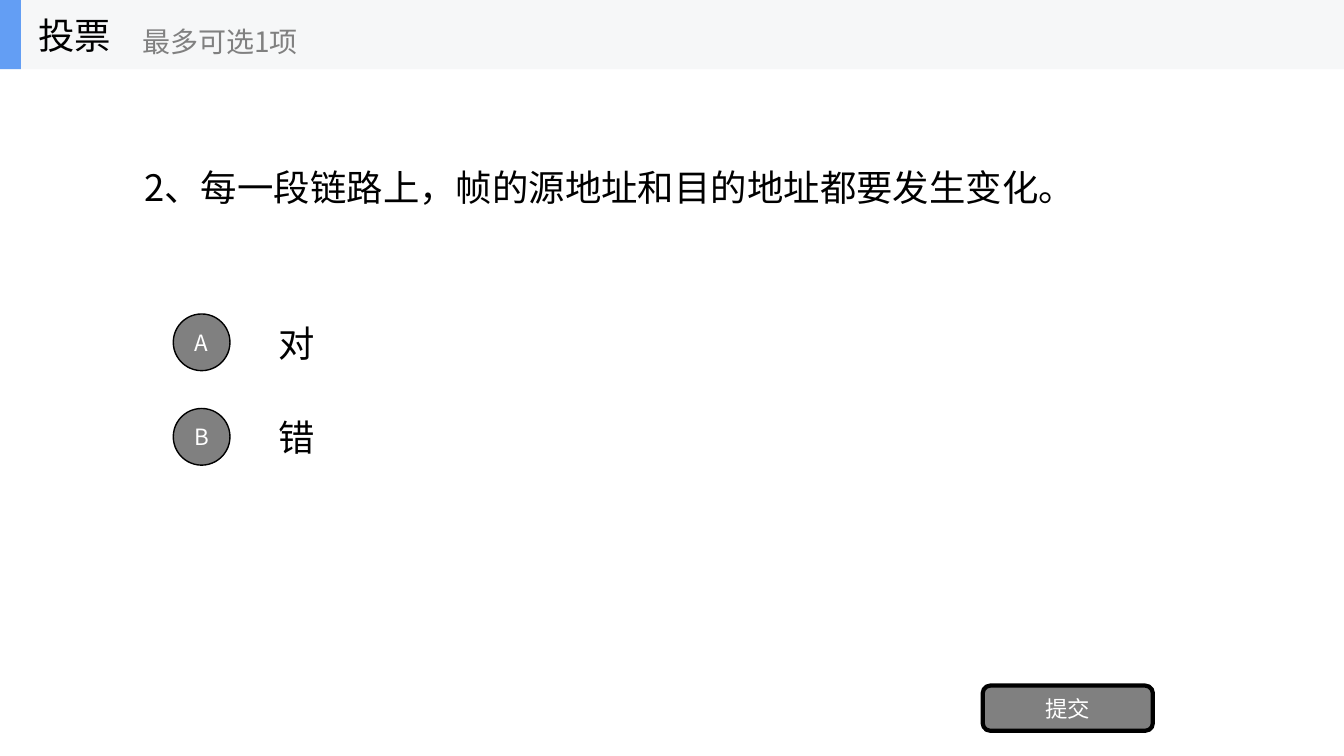
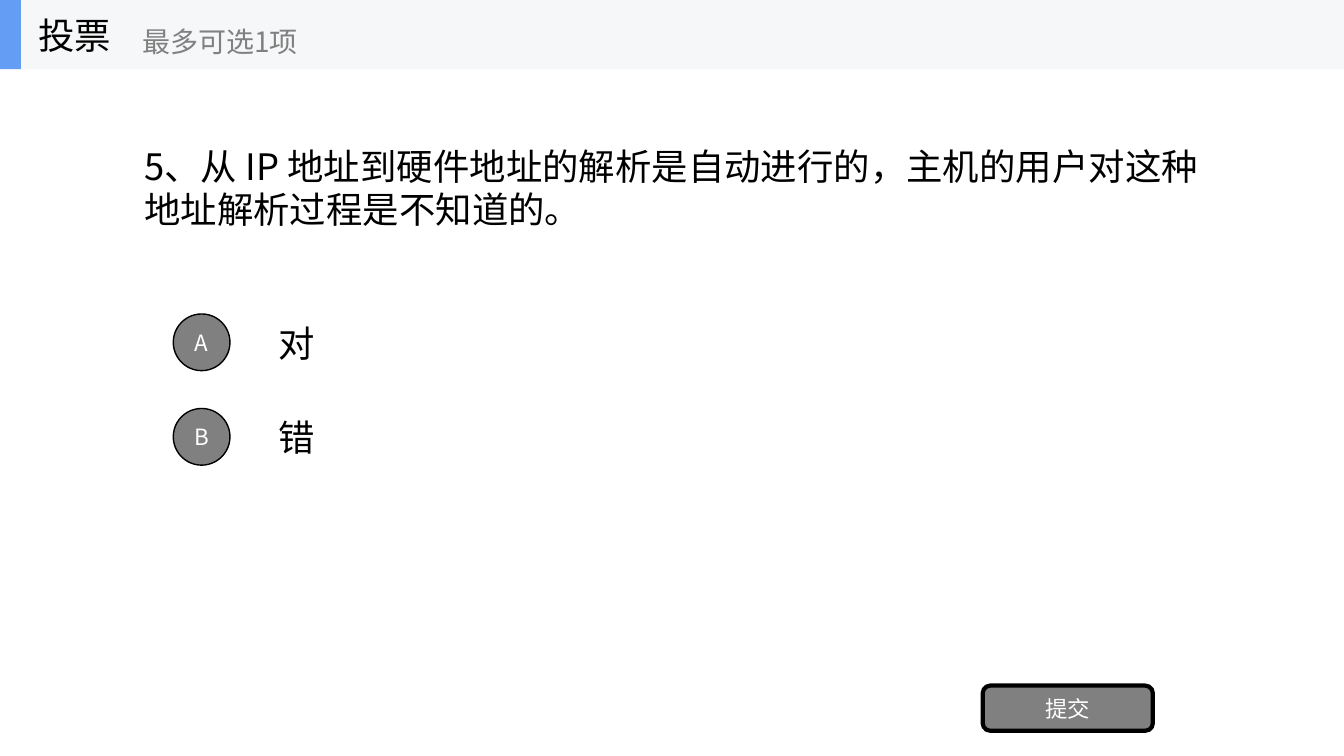
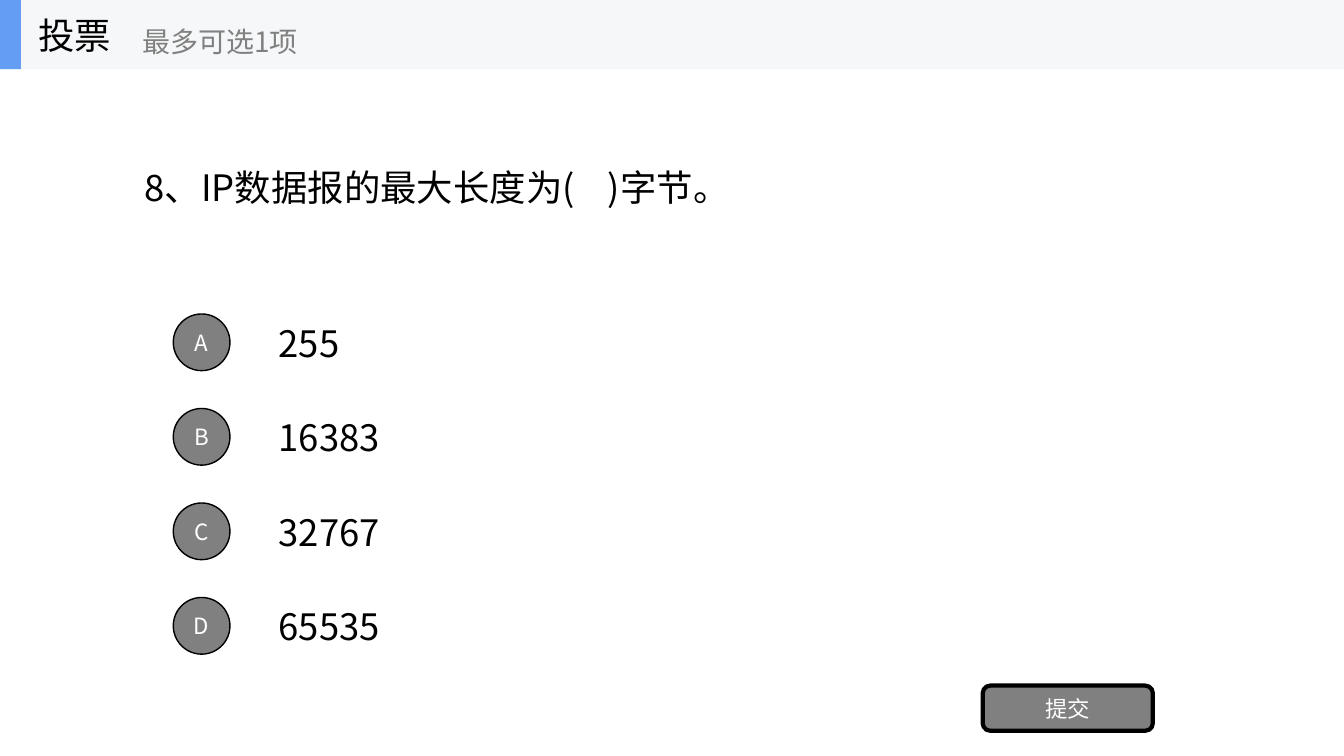
from pptx import Presentation
from pptx.dml.color import RGBColor
from pptx.enum.shapes import MSO_SHAPE as Preset
from pptx.enum.text import MSO_ANCHOR as Anchor, PP_ALIGN as Align
from pptx.oxml.ns import qn
from pptx.util import Pt
from lxml.etree import SubElement

PX = 9525  # EMU per px, 96 px to the inch
SLIDE_W, SLIDE_H = 1280, 720
HEADER_H = 66
FONT = "Noto Sans CJK SC"

BLACK = RGBColor(0x00, 0x00, 0x00)
WHITE = RGBColor(0xFF, 0xFF, 0xFF)
GRAY = RGBColor(0x80, 0x80, 0x80)
BAND = RGBColor(0xF6, 0xF7, 0xF8)
ACCENT = RGBColor(0x63, 0x9E, 0xF4)

POLLS = [
    ("2、每一段链路上，帧的源地址和目的地址都要发生变化。", ["对", "错"]),
    ("5、从 IP 地址到硬件地址的解析是自动进行的，主机的用户对这种地址解析过程是不知道的。",
     ["对", "错"]),
    ("8、IP数据报的最大长度为(    )字节。", ["255", "16383", "32767", "65535"]),
]


def emu(box):
    return [length * PX for length in box]


def write(frame, text, size, color, align=Align.LEFT):
    frame.text = text
    frame.word_wrap = True
    frame.vertical_anchor = Anchor.MIDDLE
    paragraph = frame.paragraphs[0]
    paragraph.alignment = align
    for run in paragraph.runs:
        run.font.size = Pt(size)
        run.font.color.rgb = color
        run.font.name = FONT
        SubElement(run.font._element, qn("a:ea"), typeface=FONT)


def add_text(shapes, box, text, size=26, color=BLACK):
    write(shapes.add_textbox(*emu(box)).text_frame, text, size, color)


def add_panel(shapes, preset, box, fill, border=0):
    """Add a filled shape; border is the outline width in points."""
    panel = shapes.add_shape(preset, *emu(box))
    panel.shadow.inherit = False
    panel.fill.solid()
    panel.fill.fore_color.rgb = fill
    if border:
        panel.line.color.rgb = BLACK
        panel.line.width = Pt(border)
    else:
        panel.line.fill.background()
    return panel


def add_button(shapes, preset, box, label, border):
    frame = add_panel(shapes, preset, box, GRAY, border).text_frame
    frame.margin_left = frame.margin_right = 0
    write(frame, label, 16, WHITE, Align.CENTER)


def add_options(shapes, box, options, pitch=90, row_h=67, badge=54, text_offset=91):
    """Stack one lettered row per option from the top of the box."""
    left, top, width = box
    for row, option in enumerate(options):
        add_text(shapes, (left + text_offset, top + row * pitch, width - text_offset, row_h),
                 option)
    badge_top = top + (row_h - badge) // 2
    for row, letter in enumerate("ABCD"[:len(options)]):
        add_button(shapes, Preset.OVAL, (left, badge_top + row * pitch, badge, badge),
                   letter, 1)


def add_header(shapes, box):
    left, top, width, height = box
    header = shapes.add_group_shape().shapes
    add_panel(header, Preset.RECTANGLE, box, BAND)
    add_panel(header, Preset.RECTANGLE, (left, top, 20, height), ACCENT)
    add_text(header, (left + 27, top, 200, height), "投票")
    add_text(header, (left + 126, top + 12, 240, height - 12), "最多可选1项", 20, GRAY)


def add_poll(deck, question, options):
    shapes = deck.slides.add_slide(deck.slide_layouts[6]).shapes
    add_text(shapes, (128, HEADER_H, 1024, 225), question)
    add_options(shapes, (165, 293, 987), options)
    add_button(shapes, Preset.ROUNDED_RECTANGLE, (936, 653, 162, 43), "提交", 3)
    add_header(shapes, (0, 0, SLIDE_W, HEADER_H))


def main():
    deck = Presentation()
    deck.slide_width, deck.slide_height = emu((SLIDE_W, SLIDE_H))
    for question, options in POLLS:
        add_poll(deck, question, options)
    deck.save("out.pptx")


if __name__ == "__main__":
    main()
